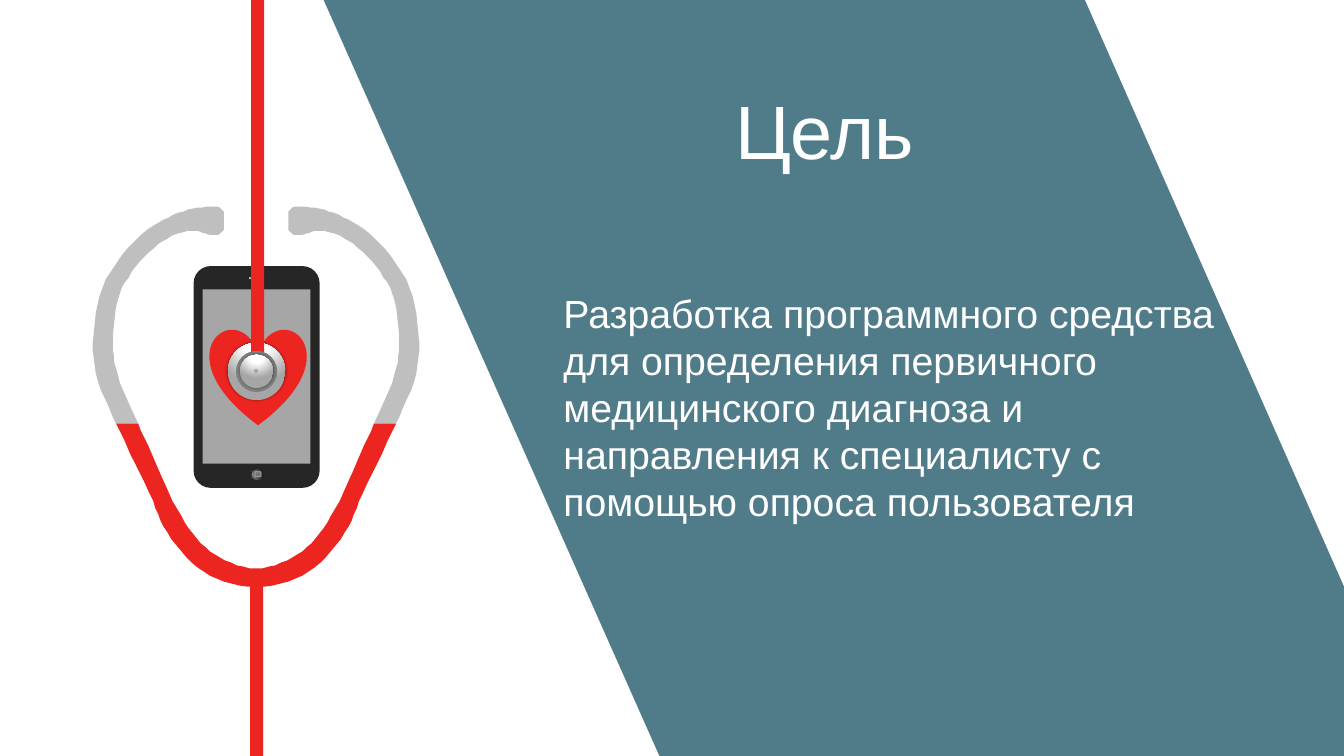
import math
import pptx
import pptx.util
import pptx.dml.color
import pptx.enum.shapes
import pptx.enum.text
import pptx.oxml
import pptx.oxml.ns
from dataclasses import dataclass

TITLE = "Цель"
BODY = ("Разработка программного средства для определения первичного "
        "медицинского диагноза и направления к специалисту с помощью "
        "опроса пользователя")


@dataclass(frozen=True)
class Theme:
    font: str = "Arial"
    title_size: int = 54
    body_size: int = 28
    text: str = "FFFFFF"
    panel: str = "507C89"
    red: str = "ED2521"
    tube: str = "BFBFBF"
    phone: str = "262626"
    screen: str = "A6A6A6"
    detail: str = "B0B0B0"
    button: str = "737373"
    rim: str = "808080"


T = Theme()
METAL = [(0, "FFFFFF"), (35, "FFFFFF"), (100, "A6A6A6")]
HOME = [(0, "0F0F0F"), (56, "595959"), (91, "808080"), (100, "BFBFBF")]

# Lengths are px, 100 to the inch.
SCALE = 9144
SLIDE = (1333, 750)
PANEL = [(321, 0), (1076, 0), (1333, 582), (1333, 750), (654, 750)]
TITLE_BOX = (719, 78, 234, 101)
BODY_BOX = (549, 282, 680, 276)
CABLE_TOP = (249, 0, 13, 358)
CABLE_BOTTOM = (248, 570, 13, 180)
HEART = (208, 326, 96, 96)
CHEST_CENTRE = (254, 368)

# Stethoscope: the middle line of one arm as (distance from axis, y, half width).
AXIS = 254
TUBE_BOTTOM = (0, 573, 9)
RED_ARM = [(35, 565, 10), (62, 546, 10), (83, 517, 10), (98, 485, 9)]
JOINT = (128, 420, 10)
GREY_ARM = [(147, 375, 10), (152, 340, 10), (146, 295, 9), (130, 264, 9),
            (107, 239, 9), (83, 224, 9), (62, 218, 11)]
EAR_TIP = [(45, 219, 14), (36, 219, 13), (32, 219, 8)]
STEPS = 5

KIND = pptx.enum.shapes.MSO_SHAPE


def spline(keys):
    """Catmull-Rom curve through the keys, with STEPS samples per interval."""
    padded = [keys[0], *keys, keys[-1]]
    samples = []
    for a, b, c, d in zip(padded, padded[1:], padded[2:], padded[3:]):
        for step in range(STEPS):
            t = step / STEPS
            samples.append(tuple(
                q + t * (r - p + t * (2 * p - 5 * q + 4 * r - s
                                      + t * (3 * q - p - 3 * r + s))) / 2
                for p, q, r, s in zip(a, b, c, d)))
            if step == 0:
                continue
            samples[-1] = tuple(samples[-1])
    return samples + [keys[-1]]


def tube_edges(samples, joints):
    """Both edge points of each sample; joints are cut level instead of square."""
    edges = []
    for i, (x, y, half) in enumerate(samples):
        before, after = samples[max(i - 1, 0)], samples[min(i + 1, len(samples) - 1)]
        dx, dy = after[0] - before[0], after[1] - before[1]
        length = math.hypot(dx, dy)
        nx, ny = dy / length, -dx / length
        ox, oy = (half / nx, 0) if i in joints else (half * nx, half * ny)
        edges.append(((round(x + ox), round(y + oy)), (round(x - ox), round(y - oy))))
    return edges


def rgb(colour):
    return pptx.dml.color.RGBColor.from_string(colour)


def place(sp, box):
    sp.left, sp.top, sp.width, sp.height = (v * SCALE for v in box)


def paint(sp, colour):
    sp.shadow.inherit = False
    sp.fill.solid()
    sp.fill.fore_color.rgb = rgb(colour)
    sp.line.fill.background()
    return sp


def shape(parent, kind, box, colour):
    return paint(parent.add_shape(kind, *(v * SCALE for v in box)), colour)


def circle(parent, centre, size, colour):
    x, y = centre
    return shape(parent, KIND.OVAL, (x - size // 2, y - size // 2, size, size), colour)


def outline(parent, points, colour):
    fb = parent.build_freeform(*points[0], scale=SCALE)
    fb.add_line_segments(points[1:], close=True)
    return paint(fb.convert_to_shape(), colour)


def border(sp, colour, points):
    sp.line.color.rgb = rgb(colour)
    sp.line.width = pptx.util.Pt(points)


def gradient(sp, stops, direction):
    """Swap the solid fill for a gradient; direction is its a:lin or a:path XML."""
    gs = "".join(f'<a:gs pos="{pos * 1000}"><a:srgbClr val="{c}"/></a:gs>'
                 for pos, c in stops)
    fill = pptx.oxml.parse_xml(
        f'<a:gradFill {pptx.oxml.ns.nsdecls("a")} rotWithShape="1">'
        f'<a:gsLst>{gs}</a:gsLst>{direction}</a:gradFill>')
    spPr = sp._element.spPr
    spPr.replace(spPr.find(pptx.oxml.ns.qn("a:solidFill")), fill)


def metal_disc(parent, centre, size):
    sp = circle(parent, centre, size, T.screen)
    gradient(sp, METAL, '<a:path path="circle"><a:fillToRect l="50000" t="-80000" '
                        'r="50000" b="180000"/></a:path>')
    effects = sp._element.spPr.find(pptx.oxml.ns.qn("a:effectLst"))
    effects.append(pptx.oxml.parse_xml(
        f'<a:outerShdw {pptx.oxml.ns.nsdecls("a")} blurRad="25400">'
        '<a:srgbClr val="000000"><a:alpha val="40000"/></a:srgbClr></a:outerShdw>'))


def write(sp, box, text, size, wrap, anchor):
    place(sp, box)
    tf = sp.text_frame
    tf.text = text
    tf.word_wrap = wrap
    tf.vertical_anchor = anchor
    tf.auto_size = pptx.enum.text.MSO_AUTO_SIZE.SHAPE_TO_FIT_TEXT
    p = tf.paragraphs[0]
    p.alignment = pptx.enum.text.PP_ALIGN.LEFT
    r = p.runs[0]
    r.font.name = T.font
    r.font.size = pptx.util.Pt(size)
    r.font.color.rgb = rgb(T.text)


def draw_phone(shapes):
    phone = shapes.add_group_shape().shapes
    case = shape(phone, KIND.ROUNDED_RECTANGLE, (192, 264, 125, 220), T.phone)
    case.adjustments[0] = 0.136
    shape(phone, KIND.RECTANGLE, (247, 275, 13, 2), T.detail)
    home = shape(phone, KIND.OVAL, (249, 465, 13, 12), T.rim)
    gradient(home, HOME, '<a:lin ang="10800000" scaled="0"/>')
    border(home, T.phone, 0)
    icon = shape(phone, KIND.ROUNDED_RECTANGLE, (253, 468, 6, 5), T.button)
    border(icon, T.detail, 0.5)
    shape(phone, KIND.RECTANGLE, (201, 287, 107, 173), T.screen)


def draw_tubes(shapes):
    """Mirror the arm, thicken its curve, and cut it into grey, red and grey."""
    arm = [*RED_ARM, JOINT, *GREY_ARM, *EAR_TIP]
    left = [(AXIS - d, y, half) for d, y, half in reversed(arm)]
    right = [(AXIS + d, y, half) for d, y, half in [TUBE_BOTTOM, *arm]]
    samples = spline(left + right)
    end = len(samples) - 1
    joint = STEPS * (len(GREY_ARM) + len(EAR_TIP))
    joints = (joint, end - joint)
    edges = tube_edges(samples, joints)
    for first, last, colour in ((*joints, T.red), (0, joints[0], T.tube),
                                (joints[1], end, T.tube)):
        outer, inner = zip(*edges[first:last + 1])
        outline(shapes, outer + inner[::-1], colour)


def main():
    prs = pptx.Presentation()
    prs.slide_width, prs.slide_height = (v * SCALE for v in SLIDE)
    s = prs.slides.add_slide(prs.slide_layouts[5])
    shapes = s.shapes
    anchor = pptx.enum.text.MSO_ANCHOR

    panel = outline(shapes, PANEL, T.panel)
    panel._element.addnext(shapes.title._element)
    write(shapes.title, TITLE_BOX, TITLE, T.title_size, False, anchor.MIDDLE)

    draw_phone(shapes)
    shape(shapes, KIND.HEART, HEART, T.red)
    shape(shapes, KIND.RECTANGLE, CABLE_BOTTOM, T.red)
    metal_disc(shapes, CHEST_CENTRE, 57)
    draw_tubes(shapes)
    shape(shapes, KIND.RECTANGLE, CABLE_TOP, T.red)

    chest = shapes.add_group_shape().shapes
    circle(chest, CHEST_CENTRE, 41, T.rim)
    metal_disc(chest, CHEST_CENTRE, 33)
    circle(chest, CHEST_CENTRE, 4, T.screen)

    body = shapes.add_textbox(0, 0, 0, 0)
    write(body, BODY_BOX, BODY, T.body_size, True, anchor.TOP)
    prs.save("out.pptx")


if __name__ == "__main__":
    main()
